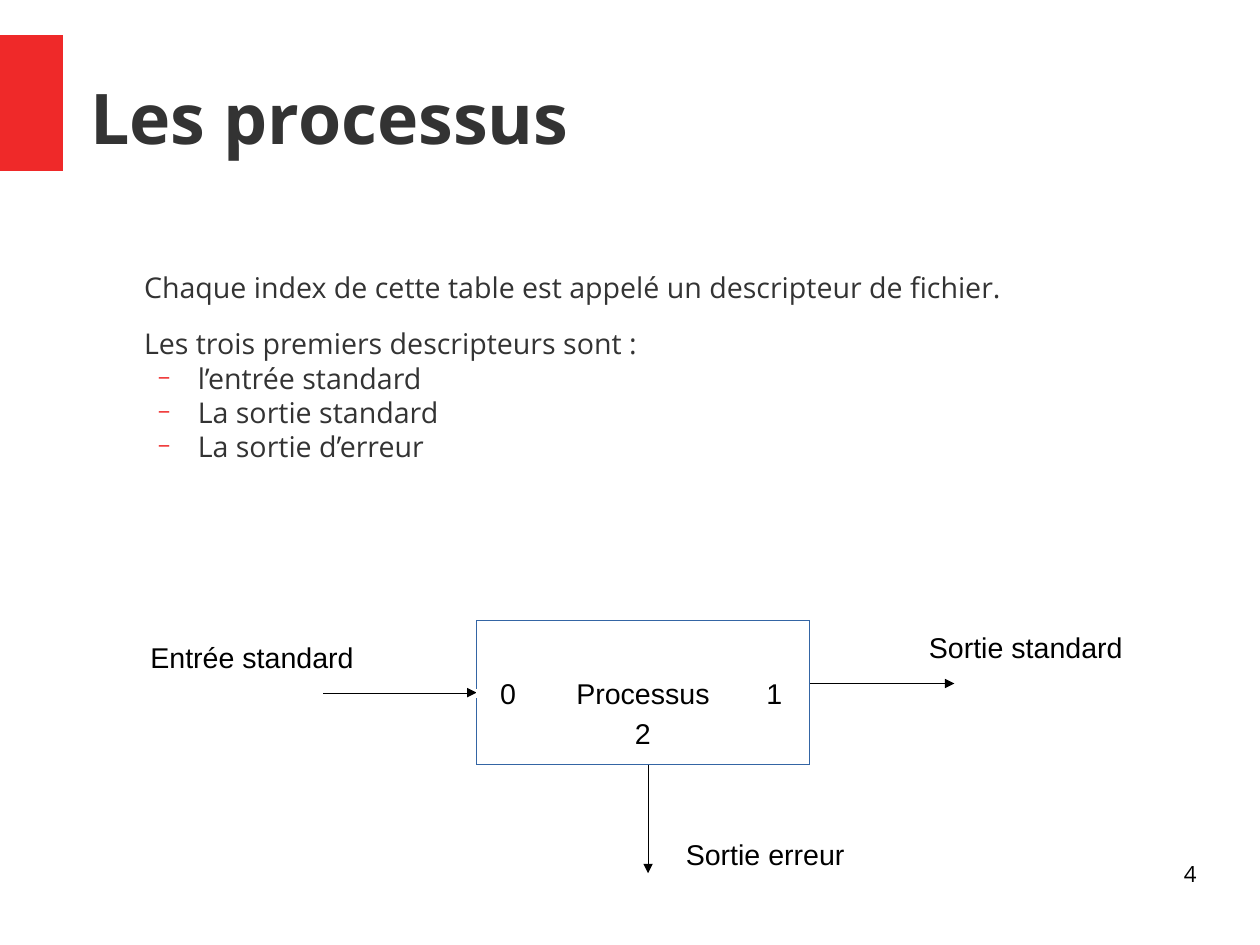
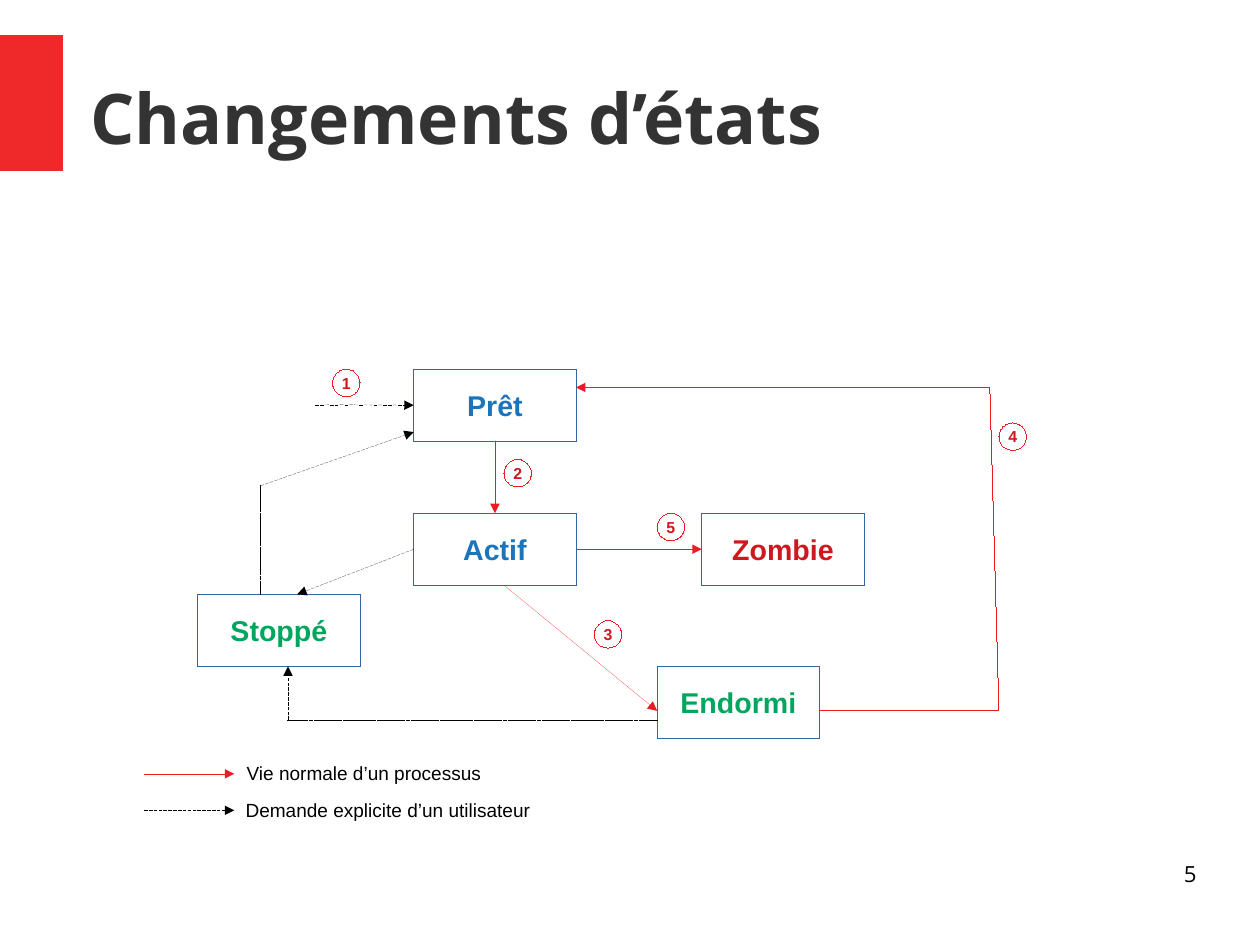
from lxml.etree import SubElement
from pptx import Presentation
from pptx.dml.color import RGBColor
from pptx.enum.dml import MSO_LINE as Dash
from pptx.enum.shapes import MSO_CONNECTOR as Link, MSO_SHAPE as Shape
from pptx.enum.text import MSO_ANCHOR as Anchor, PP_ALIGN as Align
from pptx.oxml.ns import qn
from pptx.util import Inches, Pt

COLORS = {
    "band": "EF2929", "heading": "333333", "black": "000000", "white": "FFFFFF",
    "border": "3465A4", "arrow": "ED1C24", "blue": "1B75BC", "red": "CE181E",
    "green": "00A65D",
}
HEADING_FONT, LABEL_FONT = "Open Sans", "Arial"
CM_PER_INCH = 2.54


def write(paragraph, text, size, color, font=LABEL_FONT, bold=False):
    run = paragraph.add_run()
    run.text = text
    run.font.size = Pt(size)
    run.font.name = font
    run.font.bold = bold
    run.font.color.rgb = RGBColor.from_string(COLORS[color])


def draw(slide, geometry, box, fill="white", border="white", text="", size=18,
         color="black", bold=False):
    shape = slide.shapes.add_shape(geometry, *map(Inches, box))
    shape.shadow.inherit = False
    shape.fill.solid()
    shape.fill.fore_color.rgb = RGBColor.from_string(COLORS[fill])
    shape.line.color.rgb = RGBColor.from_string(COLORS[border])
    shape.line._get_or_add_ln().set("w", "0")
    if text:
        frame = shape.text_frame
        frame.word_wrap = False
        frame.vertical_anchor = Anchor.MIDDLE
        frame.paragraphs[0].alignment = Align.CENTER
        write(frame.paragraphs[0], text, size, color, bold=bold)
    return shape


prs = Presentation()
prs.slide_width, prs.slide_height = Inches(28 / CM_PER_INCH), Inches(21 / CM_PER_INCH)

pages = []
for heading, number in [("Les processus", "4"), ("Changements d’états", "5")]:
    page = prs.slides.add_slide(prs.slide_layouts[5])
    draw(page, Shape.RECTANGLE, (0, 0.31, 0.55, 1.18), "band", "band")
    title = page.shapes.title
    title.left, title.top = Inches(0.79), Inches(0.33)
    title.width, title.height = Inches(9.68), Inches(1.38)
    page_number = page.shapes.add_textbox(*map(Inches, (7.9, 7.53, 2.57, 0.57)))
    for part, text, size, color, align in [
        (title, heading, 44, "heading", Align.LEFT),
        (page_number, number, 14, "black", Align.RIGHT),
    ]:
        frame = part.text_frame
        frame.word_wrap = True
        frame.margin_left = frame.margin_right = 0
        frame.margin_top = frame.margin_bottom = 0
        frame.paragraphs[0].alignment = align
        write(frame.paragraphs[0], text, size, color, HEADING_FONT, part is title)
    title.text_frame.vertical_anchor = Anchor.MIDDLE
    pages.append(page)
processes, states = pages

body = processes.shapes.add_textbox(*map(Inches, (0.79, 2.36, 9.45, 4.8))).text_frame
body.word_wrap = True
body.margin_left = body.margin_right = body.margin_top = body.margin_bottom = 0
for index, (text, after, bulleted) in enumerate([
    ("Chaque index de cette table est appelé un descripteur de fichier.", 14.1, False),
    ("Les trois premiers descripteurs sont\u00a0:", 0, False),
    ("l’entrée standard", 0, True),
    ("La sortie standard", 0, True),
    ("La sortie d’erreur", 0, True),
]):
    paragraph = body.add_paragraph() if index else body.paragraphs[0]
    paragraph.space_after = Pt(after)
    write(paragraph, text, 18, "heading", HEADING_FONT)
    props = paragraph._p.get_or_add_pPr()
    props.set("marL", str(Inches(0.94 if bulleted else 0.47)))
    props.set("indent", str(Inches(-0.35 if bulleted else 0)))
    if bulleted:
        props.set("lvl", "1")
        SubElement(SubElement(props, qn("a:buClr")), qn("a:srgbClr"), val=COLORS["band"])
        SubElement(props, qn("a:buSzPct"), val="75000")
        SubElement(props, qn("a:buFont"), typeface=LABEL_FONT)
        SubElement(props, qn("a:buChar"), char="−")

process = draw(processes, Shape.RECTANGLE, (4.17, 5.43, 2.91, 1.26),
               border="border", text="Processus")

state = {}
for name, left, top, color in [
    ("Prêt", 3.62, 3.23, "blue"),
    ("Zombie", 6.14, 4.49, "red"),
    ("Endormi", 5.75, 5.83, "green"),
    ("Stoppé", 1.73, 5.2, "green"),
    ("Actif", 3.62, 4.49, "blue"),
]:
    state[name] = draw(states, Shape.RECTANGLE, (left, top, 1.42, 0.63),
                       border="border", text=name, color=color, bold=True)
ready, active, zombie = state["Prêt"], state["Actif"], state["Zombie"]

for page, color, dashed, headed, ends, source, target in [
    (processes, "black", False, True, (2.83, 6.06, 4.17, 6.06), None, (process, 1)),
    (processes, "black", False, True, (5.67, 6.69, 5.67, 7.64), None, None),
    (processes, "black", False, True, (7.09, 5.98, 8.35, 5.98), None, None),
    (states, "black", True, True, (2.76, 3.54, 3.62, 3.54), None, (ready, 1)),
    (states, "arrow", False, True, (4.33, 3.86, 4.33, 4.49), (ready, 2), (active, 0)),
    (states, "arrow", False, True, (4.41, 5.12, 5.75, 6.22), None, None),
    (states, "arrow", False, False, (7.17, 6.22, 8.74, 6.22), None, None),
    (states, "arrow", False, False, (8.74, 6.22, 8.66, 3.39), None, None),
    (states, "arrow", False, True, (8.66, 3.39, 5.04, 3.39), None, None),
    (states, "arrow", False, True, (5.04, 4.8, 6.14, 4.8), (active, 3), (zombie, 1)),
    (states, "black", True, True, (3.62, 4.8, 2.6, 5.2), (active, 1), None),
    (states, "black", True, False, (5.75, 6.3, 2.52, 6.3), None, None),
    (states, "black", True, True, (2.52, 6.3, 2.52, 5.83), None, None),
    (states, "black", True, False, (2.28, 5.2, 2.28, 4.25), None, None),
    (states, "black", True, True, (2.28, 4.25, 3.62, 3.78), None, None),
    (states, "arrow", False, True, (1.26, 6.77, 2.05, 6.77), None, None),
    (states, "black", True, True, (1.26, 7.09, 2.05, 7.09), None, None),
]:
    flow = page.shapes.add_connector(Link.STRAIGHT, *map(Inches, ends))
    if source:
        flow.begin_connect(*source)
    if target:
        flow.end_connect(*target)
    flow.line.color.rgb = RGBColor.from_string(COLORS[color])
    stroke = flow.line._get_or_add_ln()
    stroke.set("w", "0")
    if dashed:
        flow.line.dash_style = Dash.SQUARE_DOT
    if headed:
        SubElement(stroke, qn("a:tailEnd"), type="triangle")
    SubElement(flow._element.spPr, qn("a:effectLst"))

for digit, box in [
    ("0", (4.17, 5.83, 0.55, 0.47)),
    ("2", (5.35, 6.22, 0.55, 0.39)),
    ("1", (6.54, 5.83, 0.47, 0.47)),
]:
    draw(processes, Shape.OVAL, box, text=digit)

for stream, left, top in [
    ("Entrée standard", 1.34, 5.59),
    ("Sortie standard", 8.11, 5.51),
    ("Sortie erreur", 5.83, 7.32),
]:
    draw(processes, Shape.RECTANGLE, (left, top, 1.73, 0.31), text=stream)

for step, (left, top) in enumerate(
    [(2.91, 3.23), (4.41, 4.02), (5.2, 5.43), (8.74, 3.7), (5.75, 4.49)], start=1
):
    draw(states, Shape.OVAL, (left, top, 0.24, 0.24), border="arrow",
         text=str(step), size=10, color="red", bold=True)

for meaning, box in [
    ("Vie normale d’un processus", (2.28, 6.61, 1.81, 0.31)),
    ("Demande explicite d’un utilisateur", (2.37, 7.01, 2.05, 0.15)),
]:
    draw(states, Shape.RECTANGLE, box, text=meaning, size=12)

prs.save("out.pptx")
